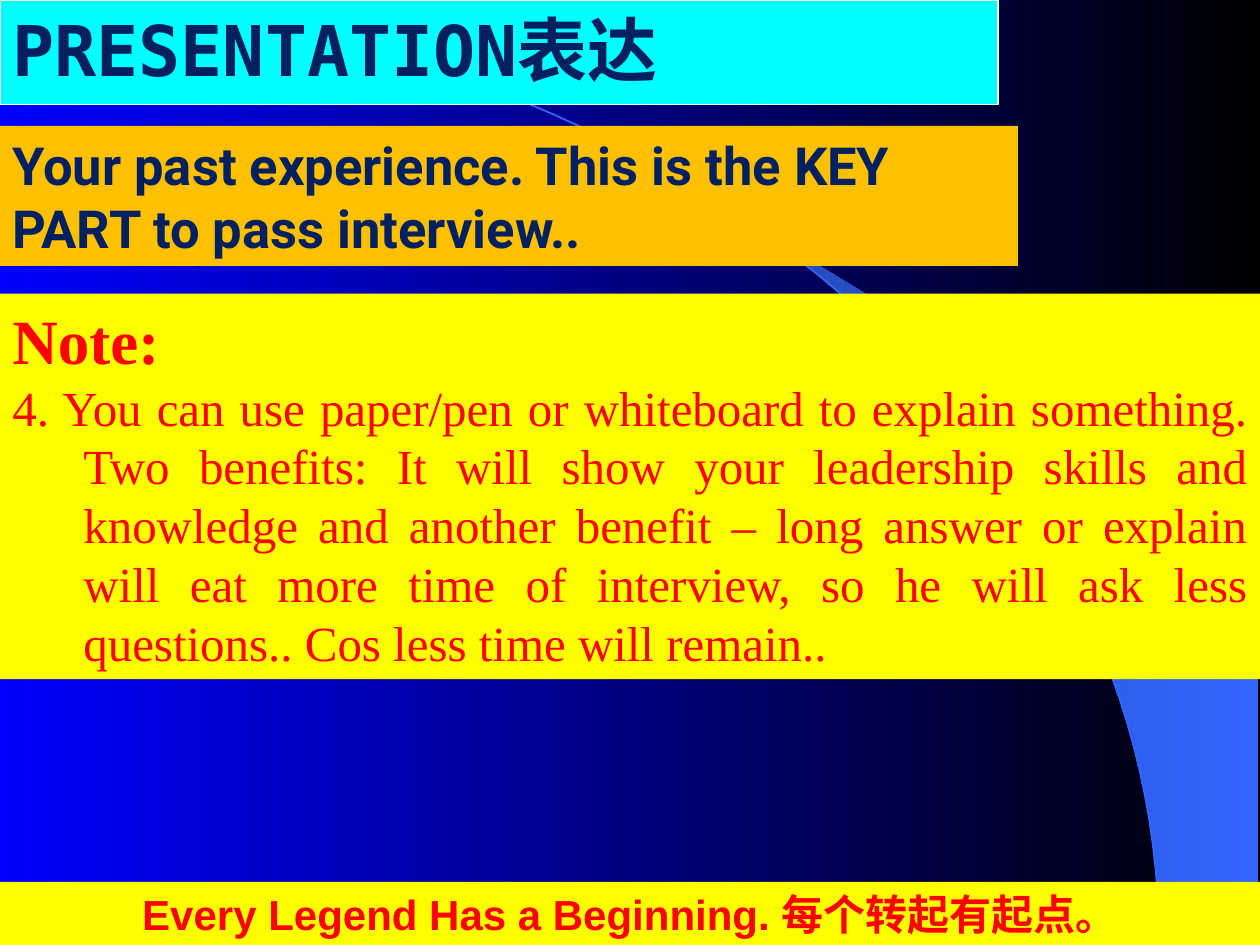
from math import asin, cos, pi, sin

from pptx import Presentation
from pptx.dml.color import RGBColor
from pptx.enum.shapes import MSO_SHAPE as Preset
from pptx.enum.text import MSO_ANCHOR as Anchor, MSO_AUTO_SIZE as AutoSize, PP_ALIGN as Align
from pptx.util import Cm, Pt

WIDTH, HEIGHT = 25.4, 19.05
NAVY, RED, YELLOW = "002060", "FF0000", "FFFF00"


def color(hex_code):
    return RGBColor.from_string(hex_code)


def shade(fill, start, end):
    fill.gradient()
    fill.gradient_angle = 0
    for stop, hex_code in zip(fill.gradient_stops, (start, end)):
        stop.color.rgb = color(hex_code)


def place(shape, box):
    shape.left, shape.top, shape.width, shape.height = map(Cm, box)


def paint(shape, fill=None, line=None, weight=0.75):
    if fill:
        shape.fill.solid()
        shape.fill.fore_color.rgb = color(fill)
    else:
        shape.fill.background()
    if line:
        shape.line.color.rgb = color(line)
        shape.line.width = Pt(weight)
    else:
        shape.line.fill.background()


def write(frame, text, font, size, hex_code, bold=True, align=Align.LEFT,
          anchor=Anchor.MIDDLE, hanging=0, more=False):
    frame.word_wrap = True
    frame.auto_size = AutoSize.NONE
    frame.vertical_anchor = anchor
    frame.margin_left = frame.margin_right = Cm(0.25)
    frame.margin_top = frame.margin_bottom = Cm(0.13)
    paragraph = frame.add_paragraph() if more else frame.paragraphs[0]
    paragraph.alignment = align
    paragraph.line_spacing = 1.0
    paragraph.space_before = paragraph.space_after = Pt(0)
    properties = paragraph._p.get_or_add_pPr()
    properties.set("marL", str(Cm(hanging)))
    properties.set("indent", str(-Cm(hanging)))
    if hanging:
        properties.insert_element_before(
            properties.makeelement(
                "{http://schemas.openxmlformats.org/drawingml/2006/main}buNone", {}),
            "a:tabLst", "a:defRPr", "a:extLst")
    run = paragraph.add_run()
    run.text = text
    run.font.name, run.font.size, run.font.bold = font, Pt(size), bold
    run.font.color.rgb = color(hex_code)


def add_band(slide, box, fill, line=None):
    band = slide.shapes.add_shape(Preset.RECTANGLE, *map(Cm, box))
    band.shadow.inherit = False
    paint(band, fill, line)
    return band


def add_outline(slide, points, close):
    points = [(Cm(x), Cm(y)) for x, y in points]
    builder = slide.shapes.build_freeform(*points[0])
    builder.add_line_segments(points[1:], close=close)
    outline = builder.convert_to_shape()
    outline.shadow.inherit = False
    return outline


def add_sweep(slide, box, right, sail_start, sail_corner, steps=60):
    left, top, width, height = box

    def arc(first):
        angles = (first + (pi / 2 - first) * i / steps for i in range(steps + 1))
        return [(left + width * sin(a), top + height * (1 - cos(a))) for a in angles]

    corners = [(right, top + height), (right, top + sail_corner)]
    sail = add_outline(slide, arc(asin(sail_start / width)) + corners, True)
    paint(sail)
    shade(sail.fill, "2449B6", "3366FF")
    paint(add_outline(slide, arc(0), False), line="3366FF", weight=1)


def add_heading(slide, box):
    left, top, width, height = box
    add_band(slide, box, "00FFFF", "FFFFFF")
    title = slide.shapes.title
    place(title, (left, top, width - 1.75, height - 0.43))
    write(title.text_frame, "PRESENTATION表达", "DejaVu Sans Mono", 40, NAVY,
          anchor=Anchor.TOP)
    slide.shapes.element.append(title.element)


def add_key_point(slide, box):
    band = add_band(slide, box, "FFC000")
    write(band.text_frame, "Your past experience. This is the KEY PART to pass interview..",
          "Roboto", 30, NAVY)


def add_note(slide, box):
    note = slide.placeholders[1]
    place(note, box)
    paint(note, YELLOW)
    style = dict(font="Times New Roman", hex_code=RED, align=Align.JUSTIFY, hanging=1.43)
    write(note.text_frame, "Note:", size=36, **style)
    write(note.text_frame,
          "4. You can use paper/pen or whiteboard to explain something. Two benefits: "
          "It will show your leadership skills and knowledge and another benefit – long "
          "answer or explain will eat more time of interview, so he will ask less "
          "questions.. Cos less time will remain..",
          size=28, bold=False, more=True, **style)
    slide.shapes.element.append(note.element)


def add_motto(slide, box):
    band = add_band(slide, box, YELLOW)
    write(band.text_frame, "Every Legend Has a Beginning. 每个转起有起点。",
          "Arial", 24, RED, align=Align.CENTER)


def main():
    deck = Presentation()
    deck.slide_width, deck.slide_height = Cm(WIDTH), Cm(HEIGHT)
    slide = deck.slides.add_slide(deck.slide_layouts[1])
    shade(slide.background.fill, "0000FF", "000000")
    add_sweep(slide, (0, 0, 23.37, 19.02), right=25.37, sail_start=14.96, sail_corner=10.74)
    add_motto(slide, (0, 17.78, WIDTH, 1.27))
    add_heading(slide, (0, 0, 20.12, 2.11))
    add_key_point(slide, (0, 2.54, 20.52, 2.82))
    add_note(slide, (0, 5.92, WIDTH, 7.77))
    deck.save("out.pptx")


if __name__ == "__main__":
    main()
